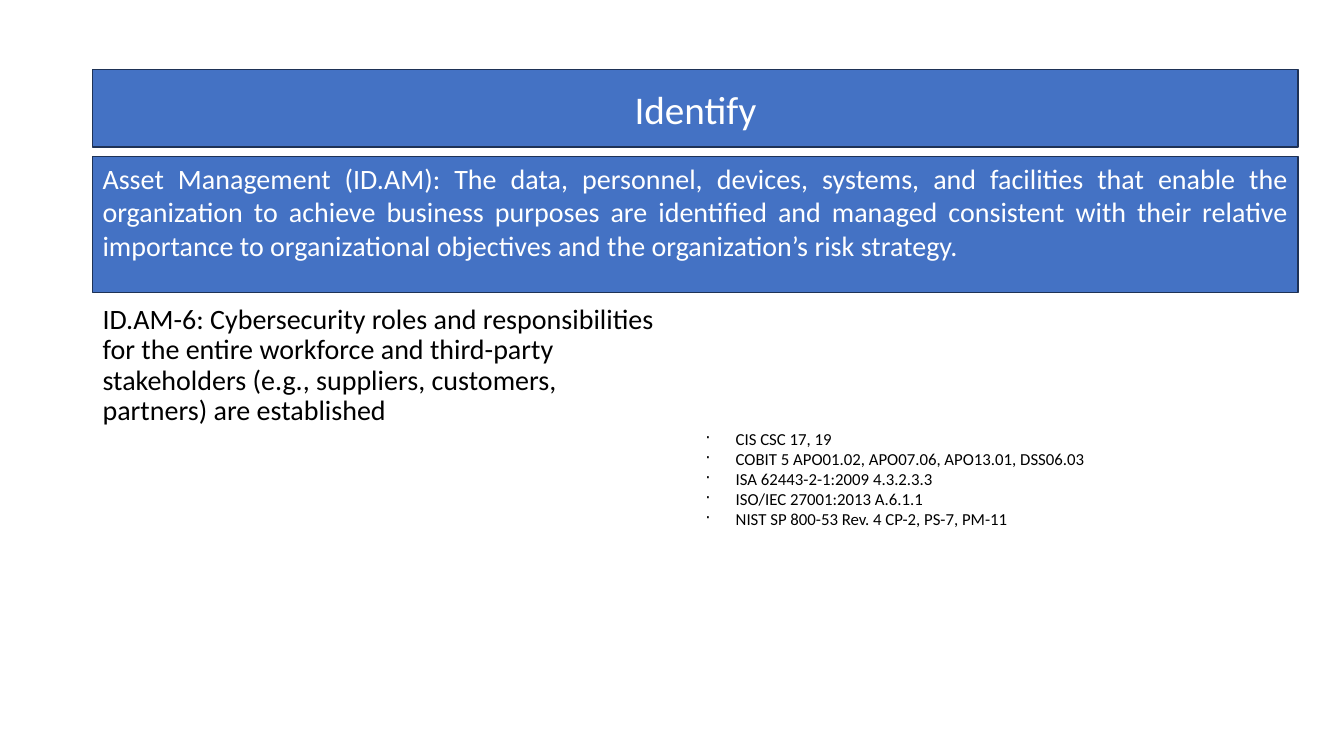
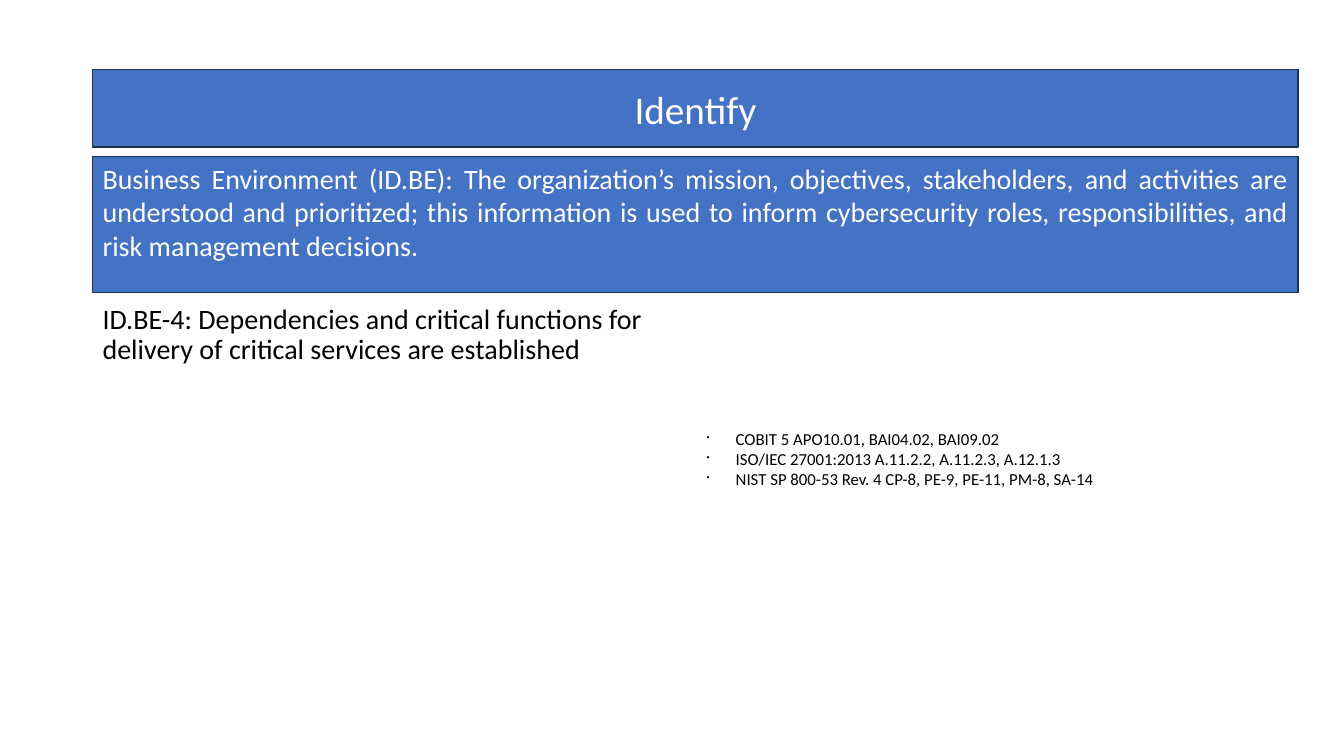
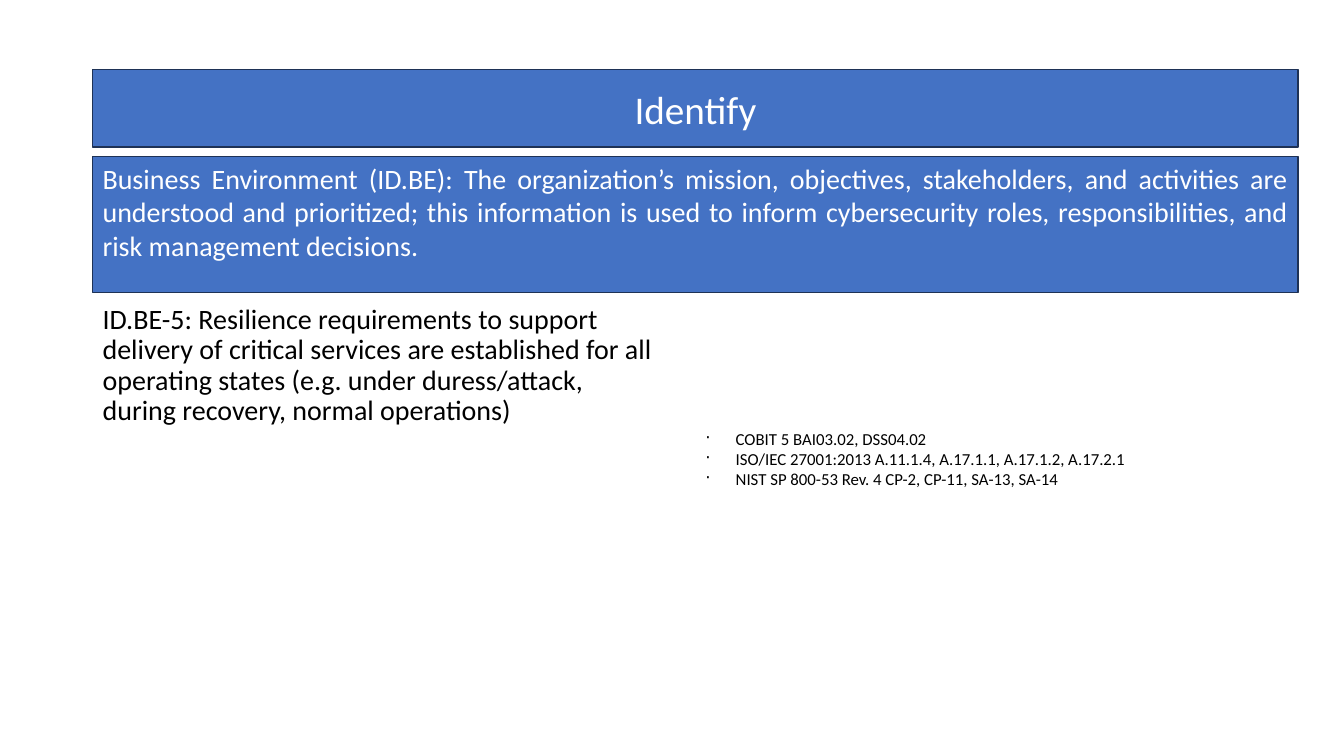
import pptx
import pptx.util
import pptx.dml.color
import pptx.enum.shapes
import pptx.enum.text
import pptx.oxml
import pptx.oxml.ns
import lxml.etree

Pt = pptx.util.Pt
ALIGN = pptx.enum.text.PP_ALIGN
ANCHOR = pptx.enum.text.MSO_ANCHOR


def color(hex_string):
    return pptx.dml.color.RGBColor.from_string(hex_string)


class Deck:
    """Holds the shared style and the current slide."""

    FONT = "Calibri"
    BAND, BORDER, LIGHT, DARK = "4472C4", "1E3256", "FFFFFF", "000000"
    LEFT, WIDTH = 66.2, 861.1
    BULLET_INDENT = 21.6

    def __init__(self):
        self.presentation = pptx.Presentation()
        self.presentation.slide_width = Pt(960)
        self.presentation.slide_height = Pt(540)
        self.slide = None

    def new_slide(self):
        layout = self.presentation.slide_layouts.get_by_name("Title Only")
        self.slide = self.presentation.slides.add_slide(layout)

    def format_band(self, shape):
        shape.fill.solid()
        shape.fill.fore_color.rgb = color(self.BAND)
        shape.line.color.rgb = color(self.BORDER)
        shape.line.width = Pt(1)

    def format_frame(self, shape, anchor):
        frame = shape.text_frame
        frame.word_wrap = True
        frame.auto_size = pptx.enum.text.MSO_AUTO_SIZE.NONE
        frame.vertical_anchor = anchor
        return frame

    def format_paragraph(self, paragraph, size, text_color, alignment, spacing=1.0):
        paragraph.alignment = alignment
        paragraph.line_spacing = spacing
        paragraph.font.name = self.FONT
        paragraph.font.size = Pt(size)
        paragraph.font.color.rgb = color(text_color)

    def title(self, text):
        shape = self.slide.shapes.title
        shape.left, shape.top = Pt(self.LEFT), Pt(49.7)
        shape.width, shape.height = Pt(self.WIDTH), Pt(55.4)
        self.format_band(shape)
        frame = self.format_frame(shape, ANCHOR.MIDDLE)
        frame.text = text
        self.format_paragraph(frame.paragraphs[0], 28, self.LIGHT, ALIGN.CENTER)

    def category(self, text):
        shape = self.slide.shapes.add_shape(
            pptx.enum.shapes.MSO_SHAPE.RECTANGLE,
            Pt(self.LEFT), Pt(111.6), Pt(self.WIDTH), Pt(97.2))
        shape.shadow.inherit = False
        self.format_band(shape)
        frame = self.format_frame(shape, ANCHOR.TOP)
        frame.text = text
        self.format_paragraph(frame.paragraphs[0], 20, self.LIGHT, ALIGN.JUSTIFY)

    def subcategory(self, text):
        box = self.slide.shapes.add_textbox(
            Pt(self.LEFT), Pt(214.6), Pt(414), Pt(302.4))
        frame = self.format_frame(box, ANCHOR.TOP)
        frame.text = text
        self.format_paragraph(frame.paragraphs[0], 20, self.DARK, ALIGN.LEFT, 0.9)

    def references(self, items):
        box = self.slide.shapes.add_textbox(
            Pt(496.8), Pt(303.1), Pt(430.5), Pt(55.4))
        frame = self.format_frame(box, ANCHOR.TOP)
        frame.text = "\n".join(items)
        for paragraph in frame.paragraphs:
            self.add_bullet(paragraph)
            self.format_paragraph(paragraph, 12, self.DARK, ALIGN.LEFT, Pt(14.3))

    def add_bullet(self, paragraph):
        properties = paragraph._p.get_or_add_pPr()
        indent = Pt(self.BULLET_INDENT)
        properties.set("marL", str(indent))
        properties.set("indent", str(-indent))
        bullet = lxml.etree.SubElement(properties, pptx.oxml.ns.qn("a:buChar"))
        bullet.set("char", "·")


BUSINESS_ENVIRONMENT = (
    "Business Environment (ID.BE): The organization’s mission, objectives, "
    "stakeholders, and activities are understood and prioritized; this information "
    "is used to inform cybersecurity roles, responsibilities, and risk management "
    "decisions.")

ASSET_MANAGEMENT = (
    "Asset Management (ID.AM): The data, personnel, devices, systems, and facilities "
    "that enable the organization to achieve business purposes are identified and "
    "managed consistent with their relative importance to organizational objectives "
    "and the organization’s risk strategy.")

# Category, subcategory and references of each slide
CONTROLS = [
    (ASSET_MANAGEMENT,
     "ID.AM-6: Cybersecurity roles and responsibilities for the entire workforce and "
     "third-party stakeholders (e.g., suppliers, customers, partners) are established",
     ["CIS CSC 17, 19",
      "COBIT 5 APO01.02, APO07.06, APO13.01, DSS06.03",
      "ISA 62443-2-1:2009 4.3.2.3.3",
      "ISO/IEC 27001:2013 A.6.1.1",
      "NIST SP 800-53 Rev. 4 CP-2, PS-7, PM-11"]),
    (BUSINESS_ENVIRONMENT,
     "ID.BE-4: Dependencies and critical functions for delivery of critical services "
     "are established",
     ["COBIT 5 APO10.01, BAI04.02, BAI09.02",
      "ISO/IEC 27001:2013 A.11.2.2, A.11.2.3, A.12.1.3",
      "NIST SP 800-53 Rev. 4 CP-8, PE-9, PE-11, PM-8, SA-14"]),
    (BUSINESS_ENVIRONMENT,
     "ID.BE-5: Resilience requirements to support delivery of critical services are "
     "established for all operating states (e.g. under duress/attack, during recovery, "
     "normal operations)",
     ["COBIT 5 BAI03.02, DSS04.02",
      "ISO/IEC 27001:2013 A.11.1.4, A.17.1.1, A.17.1.2, A.17.2.1",
      "NIST SP 800-53 Rev. 4 CP-2, CP-11, SA-13, SA-14"]),
]


def main():
    deck = Deck()
    for category, subcategory, references in CONTROLS:
        deck.new_slide()
        deck.title("Identify")
        deck.category(category)
        deck.subcategory(subcategory)
        deck.references(references)
    deck.presentation.save("out.pptx")


if __name__ == "__main__":
    main()
